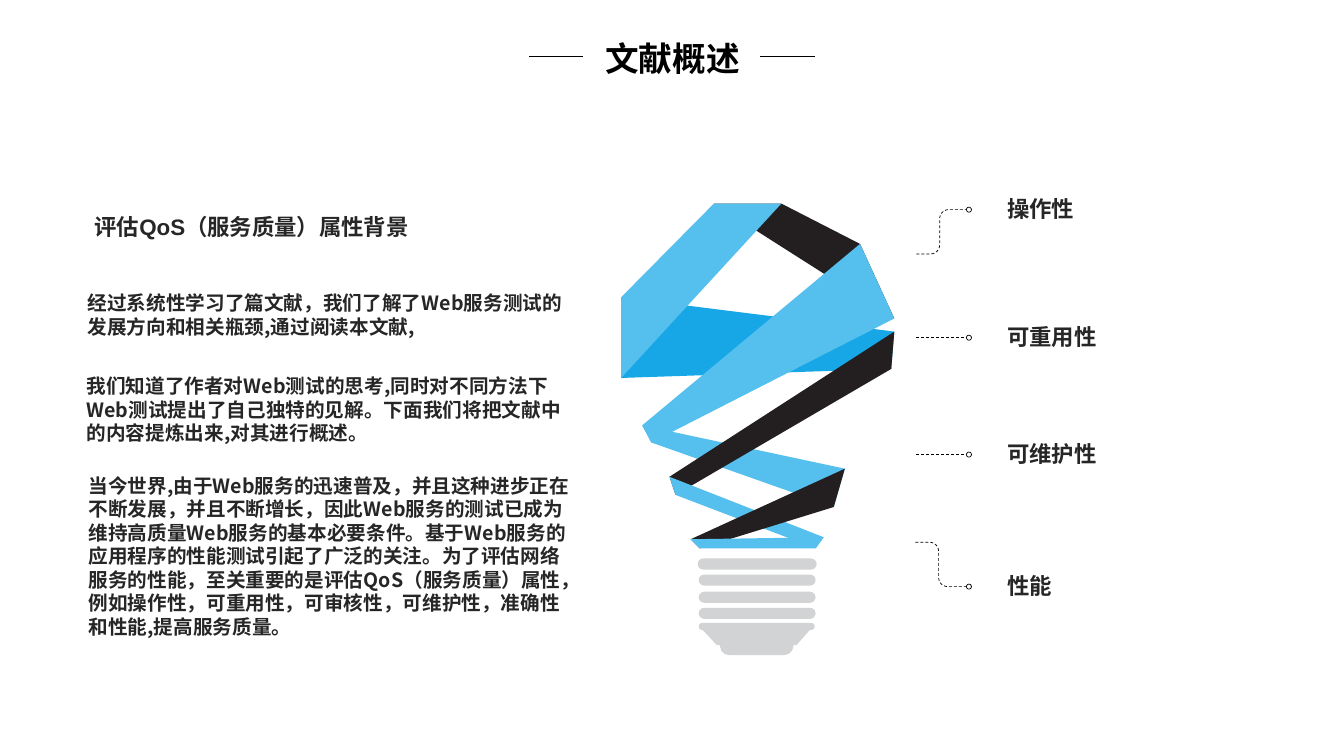
from dataclasses import dataclass
from math import cos, pi, sin

from lxml.etree import SubElement
from pptx import Presentation
from pptx.dml.color import RGBColor
from pptx.enum.dml import MSO_LINE
from pptx.enum.shapes import MSO_CONNECTOR, MSO_SHAPE
from pptx.enum.text import MSO_ANCHOR, MSO_AUTO_SIZE, PP_ALIGN
from pptx.oxml.ns import qn
from pptx.util import Inches, Pt


@dataclass(frozen=True)
class Theme:
    black: str = "000000"
    white: str = "FFFFFF"
    text: str = "262626"
    sky: str = "55C0EE"
    blue: str = "17A7E7"
    dark: str = "231F20"
    gray: str = "D1D3D4"
    latin_font: str = "Arial"
    chinese_font: str = "Noto Sans CJK SC"
    title_size: int = 24
    heading_size: int = 16
    body_size: int = 14
    line_factor: float = 1.2


class SlideBuilder:
    def __init__(self, slide, theme):
        self.slide = slide
        self.theme = theme

    def format_text(self, shape, text, size, font_name, color, alignment):
        frame = shape.text_frame
        frame.text = text
        frame.word_wrap = True
        frame.auto_size = MSO_AUTO_SIZE.NONE
        frame.vertical_anchor = MSO_ANCHOR.TOP
        paragraph = frame.paragraphs[0]
        paragraph.alignment = alignment
        paragraph.line_spacing = Pt(size * self.theme.line_factor)
        font = paragraph.font
        font.size = Pt(size)
        font.bold = True
        font.color.rgb = RGBColor.from_string(color)
        font.name = font_name
        # East Asian typeface
        properties = paragraph._p.pPr.find(qn("a:defRPr"))
        SubElement(properties, qn("a:ea"), typeface=self.theme.chinese_font)

    def title(self, text, left, top, width, height):
        shape = self.slide.shapes.title
        shape.left, shape.top = Inches(left), Inches(top)
        shape.width, shape.height = Inches(width), Inches(height)
        self.format_text(shape, text, self.theme.title_size, self.theme.chinese_font,
                         self.theme.black, PP_ALIGN.CENTER)

    def text(self, text, left, top, width, height, size, font_name):
        box = self.slide.shapes.add_textbox(
            Inches(left), Inches(top), Inches(width), Inches(height))
        self.format_text(box, text, size, font_name, self.theme.text, PP_ALIGN.LEFT)

    def outline(self, line, width, dashed=False):
        line.color.rgb = RGBColor.from_string(self.theme.black)
        line.width = Pt(width)
        if dashed:
            line.dash_style = MSO_LINE.DASH

    def line(self, start_x, end_x, y, width, dashed=False):
        connector = self.slide.shapes.add_connector(
            MSO_CONNECTOR.STRAIGHT, Inches(start_x), Inches(y), Inches(end_x), Inches(y))
        self.outline(connector.line, width, dashed)
        SubElement(connector._element.spPr, qn("a:effectLst"))

    def preset(self, kind, left, top, width, height, color):
        shape = self.slide.shapes.add_shape(
            kind, Inches(left), Inches(top), Inches(width), Inches(height))
        shape.shadow.inherit = False
        shape.fill.solid()
        shape.fill.fore_color.rgb = RGBColor.from_string(color)
        shape.line.fill.background()
        return shape

    def pill(self, left, top, width, height):
        shape = self.preset(MSO_SHAPE.ROUNDED_RECTANGLE, left, top, width, height,
                            self.theme.gray)
        shape.adjustments[0] = 0.5

    def dot(self, center_x, center_y):
        size = 0.05
        shape = self.preset(MSO_SHAPE.OVAL, center_x - size / 2, center_y - size / 2,
                            size, size, self.theme.white)
        self.outline(shape.line, 0.5)

    def freeform(self, points, closed):
        corners = [(Inches(x), Inches(y)) for x, y in points]
        builder = self.slide.shapes.build_freeform(*corners[0], scale=1.0)
        builder.add_line_segments(corners[1:], close=closed)
        shape = builder.convert_to_shape()
        shape.shadow.inherit = False
        return shape

    def polygon(self, points, color):
        shape = self.freeform(points, True)
        shape.fill.solid()
        shape.fill.fore_color.rgb = RGBColor.from_string(color)
        shape.line.fill.background()

    def elbow(self, start_x, start_y, middle_x, end_x, end_y):
        """Dashed step with two rounded corners."""
        radius, steps = 0.09, 6
        turn = radius if end_y > start_y else -radius
        angles = [pi / 2 * step / steps for step in range(steps + 1)]
        first = [(middle_x - radius + radius * sin(a), start_y + turn * (1 - cos(a)))
                 for a in angles]
        second = [(middle_x + radius * (1 - cos(a)), end_y - turn * (1 - sin(a)))
                  for a in angles]
        shape = self.freeform([(start_x, start_y), *first, *second, (end_x, end_y)], False)
        shape.fill.background()
        self.outline(shape.line, 0.5, True)


def main():
    presentation = Presentation()
    presentation.slide_width, presentation.slide_height = Inches(13.33), Inches(7.5)
    slide = presentation.slides.add_slide(presentation.slide_layouts[5])
    theme = Theme()
    builder = SlideBuilder(slide, theme)

    # Title between two rules
    builder.title("文献概述", 4.56, 0.33, 4.22, 0.5)
    for start_x, end_x in ((5.25, 5.78), (7.54, 8.08)):
        builder.line(start_x, end_x, 0.56, 1)

    # Bulb socket
    builder.pill(7.14, 6.31, 0.73, 0.19)
    builder.polygon([(7.11, 6.4), (7.9, 6.4), (8.04, 6.24), (6.96, 6.24)], theme.gray)
    builder.pill(6.92, 5.54, 1.18, 0.11)
    for top in (5.7, 5.87, 6.03):
        builder.pill(6.93, top, 1.16, 0.11)
    builder.pill(6.93, 6.18, 1.15, 0.07)

    # Folded ribbon, back to front
    crown, shoulder, tip = (7.08, 2.02), (8.53, 2.42), (8.87, 3.16)
    crown_end, left_top, left_bottom = (7.75, 2.02), (6.16, 2.95), (6.16, 3.75)
    right_top, right_bottom = (8.87, 3.29), (8.84, 3.66)
    waist_top, waist_bottom = (6.37, 4.22), (6.46, 4.39)
    lower_top, lower_bottom = (8.38, 4.65), (8.27, 5.03)
    neck_top, neck_bottom = (6.64, 4.73), (6.7, 4.91)
    foot_left, foot_right = (6.85, 5.35), (8.17, 5.33)
    sole_left, sole_right = (6.94, 5.44), (8.09, 5.44)
    ribbons = (
        (theme.dark, (crown, tip, shoulder, crown_end)),
        (theme.blue, (left_top, right_top, right_bottom, left_bottom)),
        (theme.sky, (shoulder, waist_top, waist_bottom, tip)),
        (theme.sky, (waist_top, lower_top, lower_bottom, waist_bottom)),
        (theme.dark, (right_top, neck_top, neck_bottom, right_bottom)),
        (theme.sky, (neck_top, foot_right, sole_right, neck_bottom)),
        (theme.sky, (crown, left_top, left_bottom, crown_end)),
        (theme.dark, (sole_left, lower_bottom, lower_top, foot_left)),
        (theme.sky, (foot_left, foot_right, sole_right, sole_left)),
    )
    for color, points in ribbons:
        builder.polygon(points, color)

    # Callouts
    builder.elbow(9.09, 2.52, 9.32, 9.63, 2.08)
    builder.elbow(9.08, 5.38, 9.31, 9.62, 5.82)
    for y in (3.35, 4.51):
        builder.line(9.09, 9.64, y, 0.5, True)
    for label, y in (("操作性", 2.08), ("可重用性", 3.35), ("可维护性", 4.51), ("性能", 5.82)):
        builder.dot(9.61, y)
        builder.text(label, 9.89, y - 0.19, 2.55, 0.39, theme.heading_size, theme.latin_font)

    # Background text
    builder.text("评估QoS（服务质量）属性背景", 0.84, 2.07, 4.2, 0.37,
                 theme.heading_size, theme.latin_font)
    passages = (
        (0.77, 2.84, 0.57, "经过系统性学习了篇文献，我们了解了Web服务测试的发展方向和相关瓶颈,通过阅读本文献,"),
        (0.76, 3.66, 0.81, "我们知道了作者对Web测试的思考,同时对不同方法下Web测试提出了自己独特的见解。"
                           "下面我们将把文献中的内容提炼出来,对其进行概述。"),
        (0.78, 4.65, 1.75, "当今世界,由于Web服务的迅速普及，并且这种进步正在不断发展，并且不断增长，"
                           "因此Web服务的测试已成为维持高质量Web服务的基本必要条件。"
                           "基于Web服务的应用程序的性能测试引起了广泛的关注。"
                           "为了评估网络服务的性能，至关重要的是评估QoS（服务质量）属性，"
                           "例如操作性，可重用性，可审核性，可维护性，准确性和性能,提高服务质量。"),
    )
    for left, top, height, passage in passages:
        builder.text(passage, left, top, 5, height, theme.body_size, theme.chinese_font)

    presentation.save("out.pptx")


if __name__ == "__main__":
    main()
